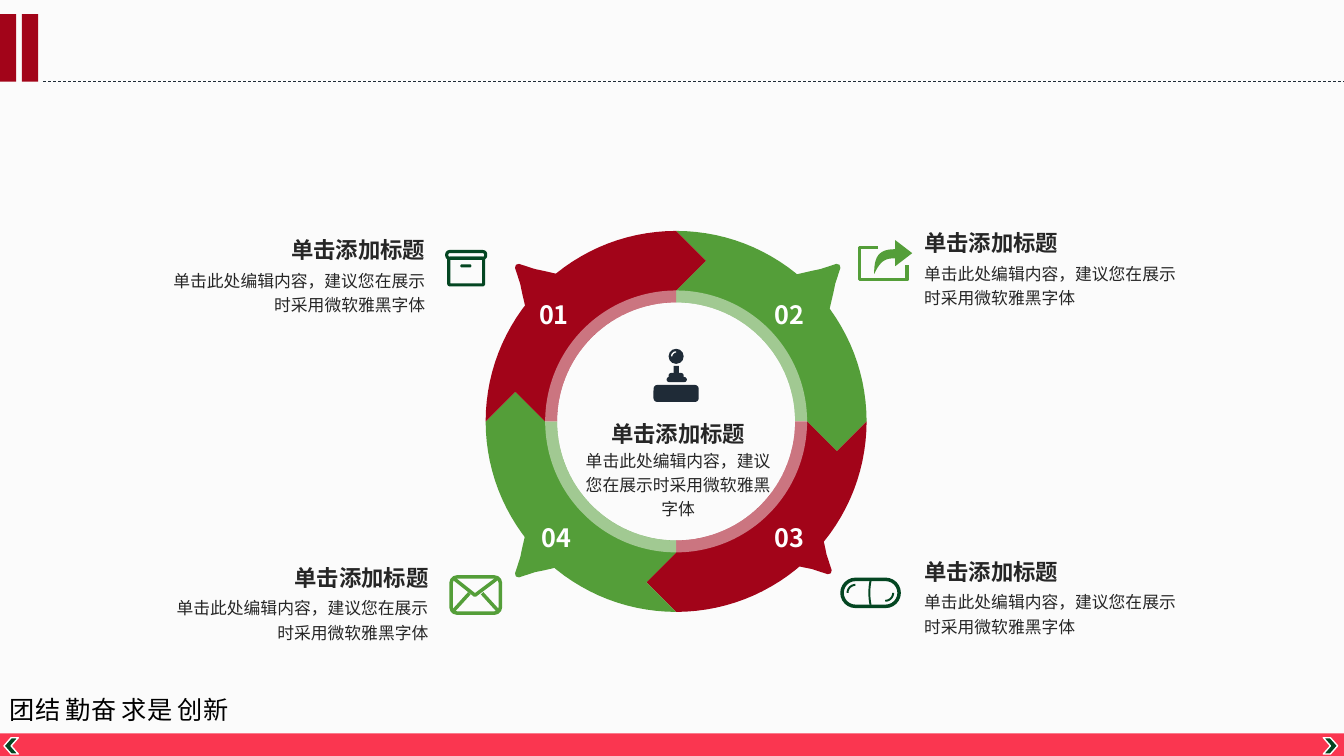
import dataclasses
import math

import pptx
import pptx.dml.color
import pptx.enum.dml
import pptx.enum.shapes
import pptx.enum.text
import pptx.oxml
import pptx.oxml.ns
import pptx.util

Cm, Pt = pptx.util.Cm, pptx.util.Pt
SHAPE = pptx.enum.shapes.MSO_SHAPE
ALIGN = pptx.enum.text.PP_ALIGN


@dataclasses.dataclass(frozen=True)
class Theme:
    paper: str = "FBFBFB"
    white: str = "FFFFFF"
    black: str = "000000"
    red: str = "A20419"
    green: str = "549E39"
    forest: str = "044622"
    navy: str = "1F2B37"
    pink: str = "FA3650"
    ink: str = "262626"
    font: str = "Arial"
    sans: str = "Noto Sans CJK SC"
    motto: str = "Noto Sans CJK JP"
    large: int = 18
    head: int = 16
    body: int = 12


THEME = Theme()
WIDE, HIGH = 33.87, 19.05
HEAD = "单击添加标题"
BODY = "单击此处编辑内容，建议您在展示时采用微软雅黑字体"


# Drawing helpers, all lengths in centimetres
def rgb(tint):
    return pptx.dml.color.RGBColor.from_string(tint)


def paint(shape, fill=None, line=None, width=1):
    shape.shadow.inherit = False
    if fill:
        shape.fill.solid()
        shape.fill.fore_color.rgb = rgb(fill)
    else:
        shape.fill.background()
    if line:
        shape.line.color.rgb = rgb(line)
        shape.line.width = Pt(width)
    else:
        shape.line.fill.background()
    return shape


def put(page, kind, x, y, w, h, adj=None, **look):
    shape = page.shapes.add_shape(kind, Cm(x), Cm(y), Cm(w), Cm(h))
    if adj is not None:
        shape.adjustments[0] = adj
    return paint(shape, **look)


def draw(page, x, y, points, close=False, **look):
    spots = [(Cm(x + px), Cm(y + py)) for px, py in points]
    pen = page.shapes.build_freeform(*spots[0], scale=1.0)
    pen.add_line_segments(spots[1:], close=close)
    return paint(pen.convert_to_shape(), **look)


def arc(cx, cy, r, start, end, steps=30):
    turns = [math.radians(start + (end - start) * i / steps) for i in range(steps + 1)]
    return [(cx + r * math.cos(t), cy + r * math.sin(t)) for t in turns]


def curve(a, b, c, d, steps=12):
    def mix(i, t):
        u = 1 - t
        return u**3 * a[i] + 3 * u * u * t * b[i] + 3 * u * t * t * c[i] + t**3 * d[i]
    return [(mix(0, i / steps), mix(1, i / steps)) for i in range(steps + 1)]


def write(page, x, y, w, h, words, size, tint, align=ALIGN.LEFT, bold=False,
          font=THEME.font, east=THEME.sans, tight=False):
    frame = page.shapes.add_textbox(Cm(x), Cm(y), Cm(w), Cm(h)).text_frame
    frame.word_wrap = True
    para = frame.paragraphs[0]
    para.alignment = align
    if tight:
        frame.margin_left = frame.margin_right = 0
        frame.margin_top = frame.margin_bottom = 0
        para.line_spacing = 1.2
    run = para.add_run()
    run.text = words
    run.font.name, run.font.size, run.font.bold = font, Pt(size), bold
    run.font.color.rgb = rgb(tint)
    asia = pptx.oxml.parse_xml(f'<a:ea {pptx.oxml.ns.nsdecls("a")} typeface="{east}"/>')
    run.font._element.find(pptx.oxml.ns.qn("a:latin")).addnext(asia)


# Page frame: header rule and bars, footer band and motto
def header(page, x, y, w, h):
    rule = page.shapes.add_connector(pptx.enum.shapes.MSO_CONNECTOR.STRAIGHT,
                                     Cm(x + 1.09), Cm(y + h), Cm(x + w), Cm(y + h))
    rule.line.color.rgb = rgb(THEME.navy)
    rule.line.width = Pt(0.5)
    rule.line.dash_style = pptx.enum.dml.MSO_LINE.DASH
    props = rule._element.spPr
    props.append(pptx.oxml.parse_xml(f'<a:effectLst {pptx.oxml.ns.nsdecls("a")}/>'))
    for left in (0, 0.55):
        put(page, SHAPE.RECTANGLE, x + left, y, 0.41, h, fill=THEME.red)


def footer(page, x, y, w, h):
    put(page, SHAPE.RECTANGLE, x, y, w, h, fill=THEME.pink)
    for left, spin in ((w - 0.52, 0), (0.1, 180)):
        mark = put(page, SHAPE.CHEVRON, x + left, y + 0.11, 0.36, 0.41,
                   fill=THEME.forest, line=THEME.white)
        mark.rotation = spin
    write(page, x, y - 1.11, 7.44, 1.02, "团结 勤奋 求是 创新", THEME.large,
          THEME.black, font=THEME.motto, east=THEME.motto)


# Ring of four arrows with corner pointers
def ring(page, cx, cy, outer):
    rim, hole = outer - 1.5, outer - 1.8
    mid = (outer + rim) / 2
    arrow = (arc(0, 0, outer, -90, 0) + [(mid, 0.75), (rim, 0)]
             + arc(0, 0, hole, 0, -90) + [(0, -rim), (0.75, -mid)])
    half = [(0.02, 0.03), (0, 0.1), (0.13, 0.5), (0.18, 0.74), (0.28, 1.17),
            (0.33, 1.22), (0.41, 1.19)]
    spur = half + [(py, px) for px, py in reversed(half)]
    # label, colour, pointer tip, label centre; clockwise from the top
    parts = (("02", THEME.green, (4.14, -3.97), (2.85, -2.7)),
             ("03", THEME.red, (3.92, 3.85), (2.85, 2.92)),
             ("04", THEME.green, (-4.06, 3.93), (-3.02, 2.92)),
             ("01", THEME.red, (-4.06, -3.97), (-3.08, -2.7)))
    for label, tint, (tx, ty), mark in parts:
        sx, sy = math.copysign(1, tx), math.copysign(1, ty)
        draw(page, cx + tx, cy + ty, [(-sx * px, -sy * py) for px, py in spur],
             close=True, fill=tint)
        draw(page, cx, cy, arrow, close=True, fill=tint)
        arrow = [(-py, px) for px, py in arrow]
    band = put(page, SHAPE.DONUT, cx - rim, cy - rim, 2 * rim, 2 * rim,
               adj=(rim - hole) / (2 * rim), fill=THEME.white)
    tone = band._element.spPr.find(".//" + pptx.oxml.ns.qn("a:srgbClr"))
    tone.append(pptx.oxml.parse_xml(f'<a:alpha {pptx.oxml.ns.nsdecls("a")} val="45000"/>'))
    for label, tint, tip, (mx, my) in parts:
        write(page, cx + mx - 0.8, cy + my - 0.51, 1.6, 1.02, label, THEME.large,
              THEME.white, ALIGN.CENTER, True, THEME.sans)


# Icons, each placed from its top left corner
def crate(page, x, y):
    look = dict(line=THEME.forest, width=2.25)
    put(page, SHAPE.ROUNDED_RECTANGLE, x + 0.04, y + 0.04, 0.98, 0.17, 0.4, **look)
    put(page, SHAPE.ROUNDED_RECTANGLE, x + 0.09, y + 0.21, 0.88, 0.67, 0.05, **look)
    put(page, SHAPE.ROUNDED_RECTANGLE, x + 0.38, y + 0.36, 0.28, 0.08, 0.5, fill=THEME.forest)


def share(page, x, y):
    draw(page, x, y, [(0.51, 0.19), (0.04, 0.19), (0.04, 1), (1.24, 1), (1.24, 0.63)],
         line=THEME.green, width=2.5)
    top = curve((0.94, 0.23), (0.51, 0.23), (0.41, 0.43), (0.41, 0.86))
    low = curve((0.41, 0.86), (0.58, 0.48), (0.74, 0.46), (0.94, 0.46))
    draw(page, x, y, [(0.94, 0.66), (1.37, 0.33), (0.94, 0)] + top + low,
         close=True, fill=THEME.green)


def mail(page, x, y):
    look = dict(line=THEME.green, width=2.5)
    put(page, SHAPE.ROUNDED_RECTANGLE, x + 0.04, y + 0.04, 1.24, 0.91, 0.16, **look)
    for fold in ([(0.11, 0.08), (0.64, 0.5), (1.2, 0.08)],
                 [(0.09, 0.9), (0.5, 0.45)], [(1.23, 0.9), (0.82, 0.45)]):
        draw(page, x, y, fold, **look)


def pill(page, x, y):
    put(page, SHAPE.ROUNDED_RECTANGLE, x + 0.04, y + 0.04, 1.44, 0.68, 0.5,
        line=THEME.forest, width=2.5)
    for bend in (curve((0.76, 0.08), (0.72, 0.25), (0.72, 0.5), (0.76, 0.68)),
                 arc(0.38, 0.38, 0.2, 180, 270), arc(1.13, 0.38, 0.2, 0, 90)):
        draw(page, x, y, bend, line=THEME.forest, width=1.4)


def stick(page, x, y):
    for px, py, w, h, adj in ((0, 0.91, 1.14, 0.43, 0.22), (0.51, 0.43, 0.13, 0.3, 0),
                              (0.38, 0.61, 0.38, 0.15, 0.4), (0.33, 0.71, 0.51, 0.13, 0.5)):
        put(page, SHAPE.ROUNDED_RECTANGLE, x + px, y + py, w, h, adj, fill=THEME.navy)
    put(page, SHAPE.OVAL, x + 0.38, y, 0.38, 0.38, fill=THEME.navy)
    draw(page, x, y, arc(0.57, 0.19, 0.11, 180, 270), line=THEME.paper)


# Heading with its text below
def note(page, x, y, w, h, align, gap=0.9):
    for top, high, words, size, bold in ((0, 0.76, HEAD, THEME.head, True),
                                         (gap, h - gap, BODY, THEME.body, False)):
        write(page, x, y + top, w, high, words, size, THEME.ink, align, bold, tight=True)


def cycle(page):
    page.background.fill.solid()
    page.background.fill.fore_color.rgb = rgb(THEME.paper)
    header(page, 0, 0.36, WIDE, 1.7)
    footer(page, 0, 18.48, WIDE, 0.57)
    ring(page, 17.04, 10.62, 4.8)
    for icon, x, y in ((crate, 11.22, 6.3), (share, 21.62, 6.05), (mail, 11.33, 14.5),
                       (pill, 21.18, 14.56), (stick, 16.47, 8.79)):
        icon(page, x, y)
    for x, y, align in ((23.29, 5.64, ALIGN.LEFT), (23.29, 13.92, ALIGN.LEFT),
                        (4.24, 5.82, ALIGN.RIGHT), (4.32, 14.07, ALIGN.RIGHT)):
        note(page, x, y, 6.48, 2.07, align)
    note(page, 14.73, 10.46, 4.72, 2.64, ALIGN.CENTER, gap=0.79)


def main():
    deck = pptx.Presentation()
    deck.slide_width, deck.slide_height = Cm(WIDE), Cm(HIGH)
    cycle(deck.slides.add_slide(deck.slide_layouts[6]))
    deck.save("out.pptx")


if __name__ == "__main__":
    main()
